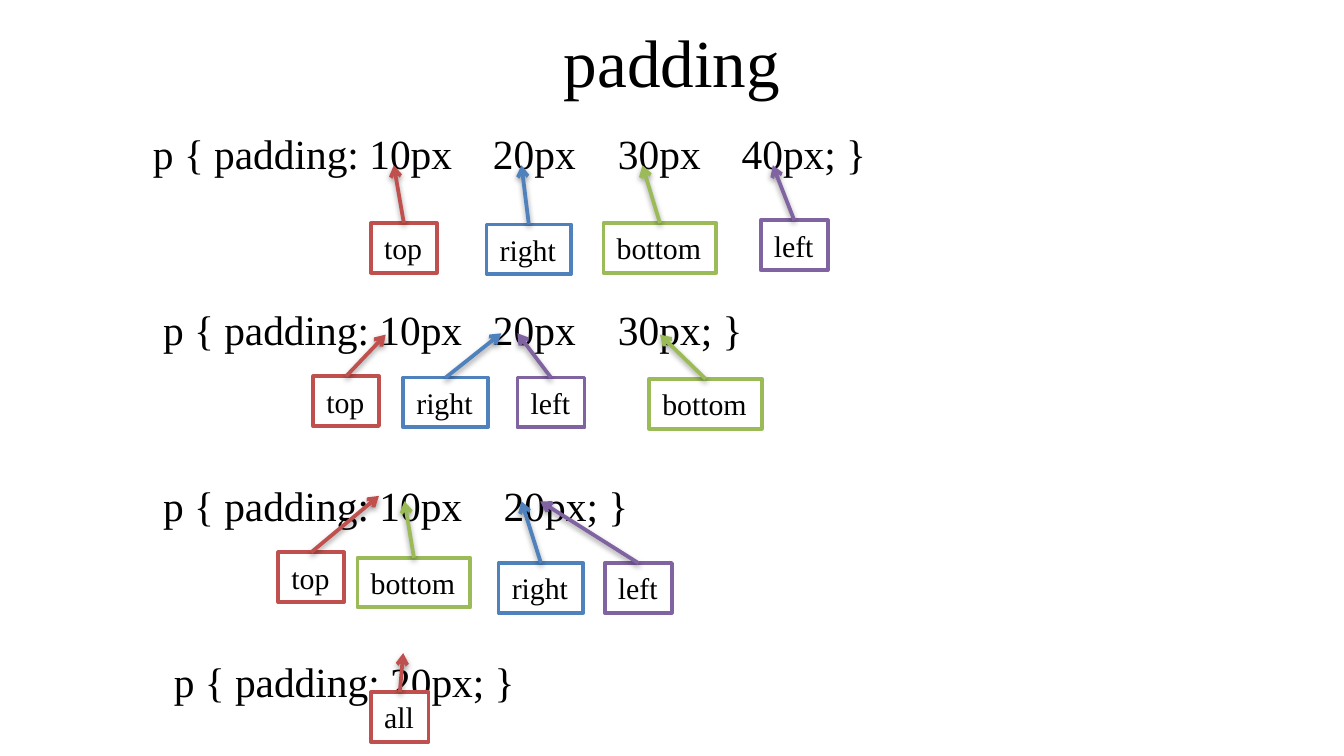
"""Build a slide explaining the CSS padding shorthand with labelled arrows."""
from dataclasses import dataclass
from enum import Enum

from lxml.etree import SubElement
from pptx import Presentation
from pptx.dml.color import RGBColor
from pptx.enum.shapes import MSO_CONNECTOR, MSO_SHAPE
from pptx.enum.text import MSO_ANCHOR, MSO_AUTO_SIZE, PP_ALIGN
from pptx.oxml import parse_xml
from pptx.oxml.ns import nsdecls, qn
from pptx.slide import Slide
from pptx.text.text import _Paragraph as Paragraph
from pptx.util import Inches, Length, Pt


@dataclass(frozen=True)
class Theme:
    font: str = "Times New Roman"
    ink: RGBColor = RGBColor(0, 0, 0)
    paper: RGBColor = RGBColor(255, 255, 255)
    title_size: float = 36
    code_size: float = 22.2
    label_size: float = 16
    line_width: float = 2
    rule_gap: float = 67.7


THEME = Theme()
SLIDE_WIDTH = Inches(10)
SLIDE_HEIGHT = Length(SLIDE_WIDTH * 9 // 16)
COLUMNS = 100
BODY_LEFT, BODY_TOP, BODY_WIDTH, BODY_HEIGHT = 5, 9.5, 90, 43.7
BODY_INSET = 1
LABEL_HEIGHT = 3.7
SHADOW = (
    f'<a:effectLst {nsdecls("a")}>'
    '<a:outerShdw blurRad="39370" dist="20320" dir="5400000" rotWithShape="0">'
    '<a:srgbClr val="000000"><a:alpha val="38000"/></a:srgbClr>'
    "</a:outerShdw></a:effectLst>"
)


@dataclass(frozen=True)
class SideStyle:
    text: str
    color: RGBColor
    width: float


class Side(Enum):
    TOP = SideStyle("top", RGBColor.from_string("C0504D"), 4.9)
    RIGHT = SideStyle("right", RGBColor.from_string("4F81BD"), 6.3)
    BOTTOM = SideStyle("bottom", RGBColor.from_string("9BBB59"), 8.4)
    LEFT = SideStyle("left", RGBColor.from_string("8064A2"), 5)
    ALL = SideStyle("all", RGBColor.from_string("C0504D"), 4.3)


@dataclass(frozen=True)
class Label:
    side: Side
    left: float
    top: float
    tip_x: float
    tip_y: float


@dataclass(frozen=True)
class Rule:
    values: tuple[str, ...]
    stops: tuple[float, ...]
    labels: tuple[Label, ...]


RULES = (
    Rule(("10px", "20px", "30px", "40px"), (11.4, 36.7, 46, 55.2), (
        Label(Side.TOP, 27.6, 16.6, 29.3, 12.3),
        Label(Side.RIGHT, 36.2, 16.7, 38.8, 12.3),
        Label(Side.BOTTOM, 44.9, 16.6, 47.8, 12.3),
        Label(Side.LEFT, 56.6, 16.4, 57.5, 12.3),
    )),
    Rule(("10px", "20px", "30px"), (12.15, 36.7, 46), (
        Label(Side.TOP, 23.3, 28, 28.7, 24.9),
        Label(Side.RIGHT, 30, 28.1, 37.3, 24.8),
        Label(Side.LEFT, 38.5, 28.1, 38.5, 24.8),
        Label(Side.BOTTOM, 48.3, 28.2, 49.1, 24.9),
    )),
    Rule(("10px", "20px"), (12.15, 37.5), (
        Label(Side.TOP, 20.7, 41.1, 28.2, 36.9),
        Label(Side.BOTTOM, 26.6, 41.5, 30.1, 37.3),
        Label(Side.RIGHT, 37.1, 41.9, 38.8, 37.3),
        Label(Side.LEFT, 45, 41.9, 40.2, 37.3),
    )),
    Rule(("20px",), (12.95,), (
        Label(Side.ALL, 27.6, 51.5, 30, 48.6),
    )),
)


def cells(count: float) -> Length:
    """Convert a number of square grid cells to a length."""
    return Length(round(SLIDE_WIDTH * count / COLUMNS))


def write(paragraph: Paragraph, text: str, size: float, align: PP_ALIGN) -> None:
    """Set a paragraph's text in the theme's font and ink."""
    paragraph.text = text
    paragraph.alignment = align
    for run in paragraph.runs:
        run.font.name = THEME.font
        run.font.size = Pt(size)
        run.font.color.rgb = THEME.ink


def draw_title(slide: Slide, text: str) -> None:
    """Place and format the title placeholder."""
    title = slide.shapes.title
    title.left, title.top = cells(5), cells(-0.2)
    title.width, title.height = cells(90), cells(9.4)
    title.text_frame.vertical_anchor = MSO_ANCHOR.MIDDLE
    write(title.text_frame.paragraphs[0], text, THEME.title_size, PP_ALIGN.CENTER)


def draw_rules(slide: Slide, rules: tuple[Rule, ...]) -> None:
    """Write the CSS rules as paragraphs aligned on tab stops."""
    body = slide.shapes.add_textbox(
        cells(BODY_LEFT), cells(BODY_TOP), cells(BODY_WIDTH), cells(BODY_HEIGHT))
    frame = body.text_frame
    frame.word_wrap = True
    frame.margin_left = cells(BODY_INSET)
    frame.margin_top = frame.margin_bottom = 0
    for index, rule in enumerate(rules):
        paragraph = frame.add_paragraph() if index else frame.paragraphs[0]
        write(paragraph, "\tp { padding: " + "\t".join(rule.values) + "; }",
              THEME.code_size, PP_ALIGN.LEFT)
        paragraph.space_before = Pt(THEME.rule_gap if index else 0)
        tabs = SubElement(paragraph._p.get_or_add_pPr(), qn("a:tabLst"))
        for stop in rule.stops:
            offset = cells(stop - BODY_LEFT - BODY_INSET)
            SubElement(tabs, qn("a:tab"), pos=str(offset), algn="l")


def draw_label(slide: Slide, label: Label) -> None:
    """Draw a side's box and the arrow from it to the value it takes."""
    style = label.side.value
    box = slide.shapes.add_shape(
        MSO_SHAPE.RECTANGLE, cells(label.left), cells(label.top),
        cells(style.width), cells(LABEL_HEIGHT))
    box.shadow.inherit = False
    box.fill.solid()
    box.fill.fore_color.rgb = THEME.paper
    box.line.color.rgb = style.color
    box.line.width = Pt(THEME.line_width)
    box.text_frame.word_wrap = False
    box.text_frame.auto_size = MSO_AUTO_SIZE.SHAPE_TO_FIT_TEXT
    write(box.text_frame.paragraphs[0], style.text, THEME.label_size, PP_ALIGN.LEFT)

    arrow = slide.shapes.add_connector(
        MSO_CONNECTOR.STRAIGHT, cells(label.left + style.width / 2), cells(label.top),
        cells(label.tip_x), cells(label.tip_y))
    arrow.begin_connect(box, 0)
    arrow.line.color.rgb = style.color
    arrow.line.width = Pt(THEME.line_width)
    SubElement(arrow.line._get_or_add_ln(), qn("a:tailEnd"), type="arrow")
    arrow._element.spPr.append(parse_xml(SHADOW))


def main() -> None:
    """Assemble and save the slide."""
    deck = Presentation()
    deck.slide_width, deck.slide_height = SLIDE_WIDTH, SLIDE_HEIGHT
    slide = deck.slides.add_slide(deck.slide_layouts.get_by_name("Title Only"))
    draw_title(slide, "padding")
    draw_rules(slide, RULES)
    for rule in RULES:
        for label in rule.labels:
            draw_label(slide, label)
    deck.save("out.pptx")


if __name__ == "__main__":
    main()
